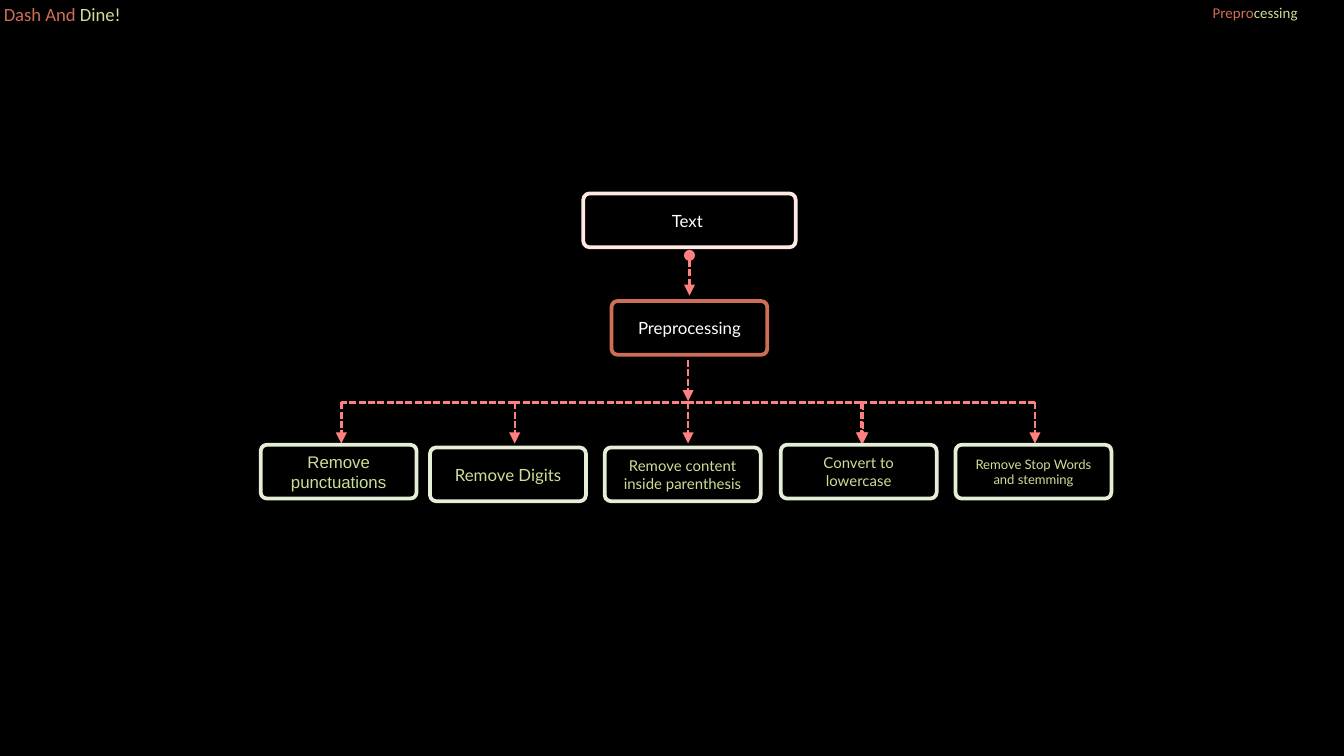
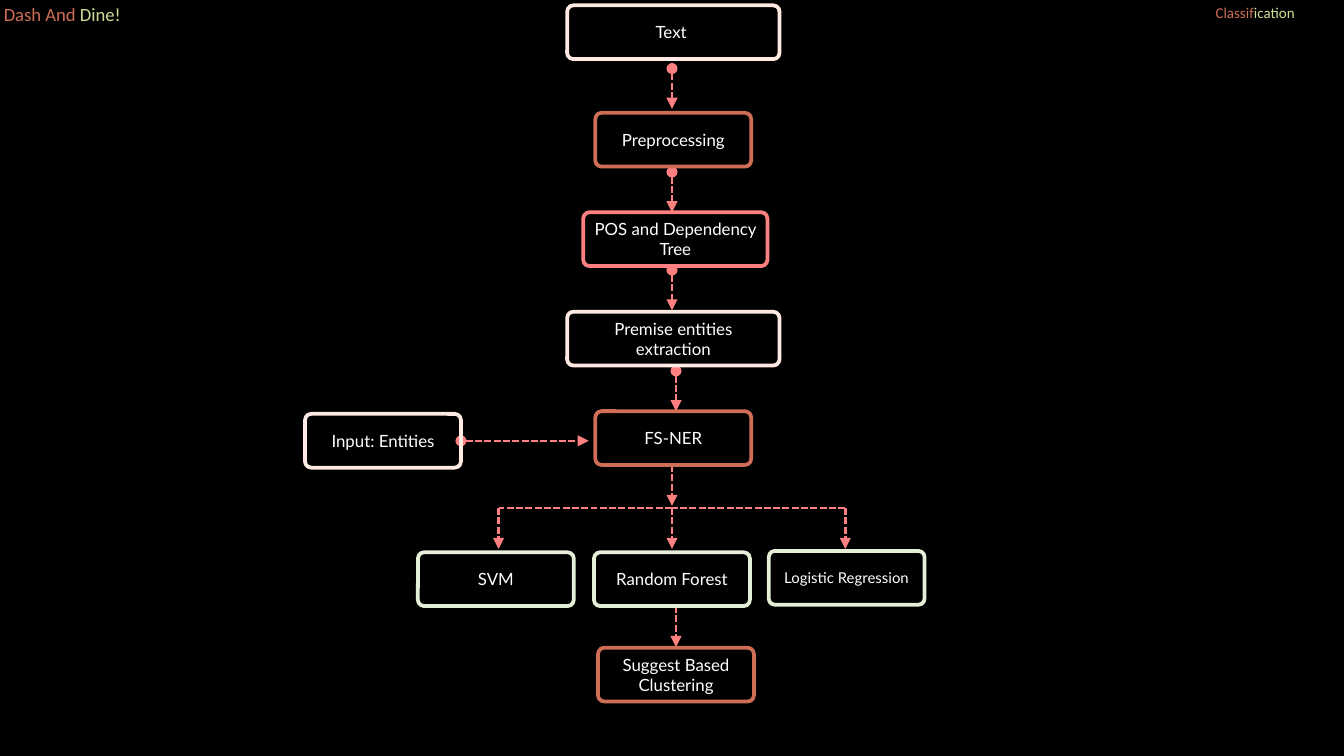
from dataclasses import dataclass
from itertools import pairwise

from pptx import Presentation
from pptx.dml.color import RGBColor
from pptx.enum.dml import MSO_LINE_DASH_STYLE as Dash
from pptx.enum.shapes import MSO_CONNECTOR as ConnectorType, MSO_SHAPE as ShapeType
from pptx.enum.text import MSO_ANCHOR as Anchor, MSO_AUTO_SIZE as AutoSize, PP_ALIGN as Align
from pptx.oxml.ns import qn
from pptx.slide import Slide
from pptx.text.text import TextFrame
from pptx.util import Emu, Inches, Pt
from lxml.etree import SubElement

SLIDE_WIDTH, SLIDE_HEIGHT = Inches(10), Inches(5.625)
COLUMNS = 100
CELL = SLIDE_WIDTH / COLUMNS
NODE_WIDTH, WIDE_NODE, NODE_HEIGHT = 11.6, 15.8, 4
DROP = 3.05
BRANCH_GAP = 12.9
COLORS = {
    "background": "000000",
    "rust": "CF6E56",
    "lime": "CCDF96",
    "cream": "FFEAE3",
    "coral": "FF8080",
    "mint": "E5EFD8",
    "white": "FFFFFF",
}


@dataclass(frozen=True)
class Node:
    text: str
    column: float
    row: float
    width: float = NODE_WIDTH
    outline: str = "rust"
    text_color: str = "white"
    size: float = 9
    font: str = "Lato"


@dataclass(frozen=True)
class Arrow:
    column: float
    row: float
    across: float = 0
    down: float = 0
    oval_start: bool = False
    pointed: bool = True


@dataclass(frozen=True)
class Branch:
    column: float
    row: float
    steps: tuple[int, ...]

    def arrows(self) -> list[Arrow]:
        columns = [self.column + step * BRANCH_GAP for step in self.steps]
        drops = [Arrow(column, self.row, down=DROP) for column in columns]
        bars = [Arrow(right, self.row, across=left - right, pointed=False)
                for left, right in pairwise(columns)]
        return drops + bars


@dataclass(frozen=True)
class Page:
    title: tuple[str, str]
    nodes: list[Node]
    arrows: list[Arrow]
    branch: Branch


def leaf(text: str, column: float, row: float, text_color: str = "lime",
         size: float = 9, font: str = "Lato") -> Node:
    return Node(text, column, row, NODE_WIDTH, "mint", text_color, size, font)


def flow(column: float, row: float) -> Arrow:
    return Arrow(column, row, down=3, oval_start=True)


def grid(cells: float) -> Emu:
    return Emu(round(cells * CELL))


def color(name: str) -> RGBColor:
    return RGBColor.from_string(COLORS[name])


def write_two_tone(text_frame: TextFrame, words: tuple[str, str], size: float, align: Align) -> None:
    text_frame.word_wrap = True
    text_frame.auto_size = AutoSize.NONE
    text_frame.vertical_anchor = Anchor.TOP
    text_frame.margin_left = text_frame.margin_right = Inches(0.1)
    text_frame.margin_top = text_frame.margin_bottom = Inches(0.1)
    paragraph = text_frame.paragraphs[0]
    paragraph.alignment = align
    for word, name in zip(words, ("rust", "lime")):
        run = paragraph.add_run()
        run.text = word
        run.font.name = "Calibri"
        run.font.size = Pt(size)
        run.font.color.rgb = color(name)


def draw_header(slide: Slide, title: tuple[str, str]) -> None:
    brand = slide.shapes.add_textbox(grid(-0.7), grid(-0.8), grid(14.3), grid(2.7))
    write_two_tone(brand.text_frame, ("Dash And ", "Dine!"), 10, Align.LEFT)
    heading = slide.shapes.title
    heading.left, heading.top = grid(86.1), grid(-0.7)
    heading.width, heading.height = grid(14.6), grid(2.3)
    write_two_tone(heading.text_frame, title, 8, Align.CENTER)


def draw_node(slide: Slide, node: Node) -> None:
    shape = slide.shapes.add_shape(
        ShapeType.ROUNDED_RECTANGLE,
        grid(node.column), grid(node.row), grid(node.width), grid(NODE_HEIGHT))
    shape.adjustments[0] = 0.115
    shape.shadow.inherit = False
    shape.fill.background()
    shape.line.color.rgb = color(node.outline)
    shape.line.width = Pt(2)
    text_frame = shape.text_frame
    text_frame.word_wrap = True
    text_frame.vertical_anchor = Anchor.MIDDLE
    if node.outline != "mint":
        text_frame.margin_left = text_frame.margin_right = Inches(0.06)
        text_frame.margin_top = text_frame.margin_bottom = Inches(0.03)
    text_frame.text = node.text
    paragraph = text_frame.paragraphs[0]
    paragraph.alignment = Align.CENTER
    font = paragraph.runs[0].font
    font.name = node.font
    font.size = Pt(node.size)
    font.color.rgb = color(node.text_color)


def draw_arrow(slide: Slide, arrow: Arrow) -> None:
    connector = slide.shapes.add_connector(
        ConnectorType.STRAIGHT, grid(arrow.column), grid(arrow.row),
        grid(arrow.column + arrow.across), grid(arrow.row + arrow.down))
    line = connector.line
    line.color.rgb = color("coral")
    line.width = Pt(1.25)
    line.dash_style = Dash.SQUARE_DOT
    properties = connector.element.spPr
    outline = properties.find(qn("a:ln"))
    if arrow.oval_start:
        SubElement(outline, qn("a:headEnd"), type="oval")
    if arrow.pointed:
        SubElement(outline, qn("a:tailEnd"), type="triangle")
    SubElement(properties, qn("a:effectLst"))


PAGES = [
    Page(
        ("Prepro", "cessing"),
        [
            Node("Text ", 43.4, 14.4, WIDE_NODE, "cream"),
            Node("Preprocessing", 45.5, 22.4),
            leaf("Remove punctuations", 19.4, 33.1, font="Arial"),
            leaf("Remove Digits", 32, 33.3),
            leaf("Remove content inside parenthesis", 45, 33.3, size=8),
            leaf("Convert to lowercase", 58.1, 33.1, size=8),
            leaf("Remove Stop Words and stemming", 71.1, 33.1, size=7),
        ],
        [flow(51.3, 19), Arrow(51.2, 26.8, down=DROP), Arrow(64.2, 30, down=3)],
        Branch(51.2, 29.95, (-2, -1, 0, 1, 2)),
    ),
    Page(
        ("Classif", "ication"),
        [
            Node("Text ", 42.2, 0.4, WIDE_NODE, "cream"),
            Node("Preprocessing", 44.3, 8.4),
            Node("POS and Dependency Tree", 43.4, 15.8, 13.7, "coral"),
            Node("Premise entities extraction", 42.2, 23.2, WIDE_NODE, "cream"),
            Node("FS-NER", 44.3, 30.6),
            leaf("SVM", 31.1, 41.1, "white"),
            leaf("Random Forest", 44.2, 41.1, "white"),
            leaf("Logistic Regression", 57.2, 41, "white", 8),
            Node("Input: Entities", 22.7, 30.8, outline="cream"),
            Node("Suggest Based Clustering", 44.5, 48.2),
        ],
        [
            flow(50, 5.1),
            flow(50, 12.8),
            flow(50, 20.1),
            flow(50.3, 27.6),
            Arrow(50, 34.6, down=DROP),
            Arrow(34.3, 32.8, across=9.5, oval_start=True),
            Arrow(50.3, 45.1, down=DROP),
        ],
        Branch(50, 37.8, (-1, 0, 1)),
    ),
]


def main() -> None:
    presentation = Presentation()
    presentation.slide_width, presentation.slide_height = SLIDE_WIDTH, SLIDE_HEIGHT
    background = presentation.slide_master.background.fill
    background.solid()
    background.fore_color.rgb = color("background")
    title_only = presentation.slide_layouts.get_by_name("Title Only")
    for page in PAGES:
        slide = presentation.slides.add_slide(title_only)
        draw_header(slide, page.title)
        for arrow in page.arrows + page.branch.arrows():
            draw_arrow(slide, arrow)
        for node in page.nodes:
            draw_node(slide, node)
    presentation.save("out.pptx")


if __name__ == "__main__":
    main()
